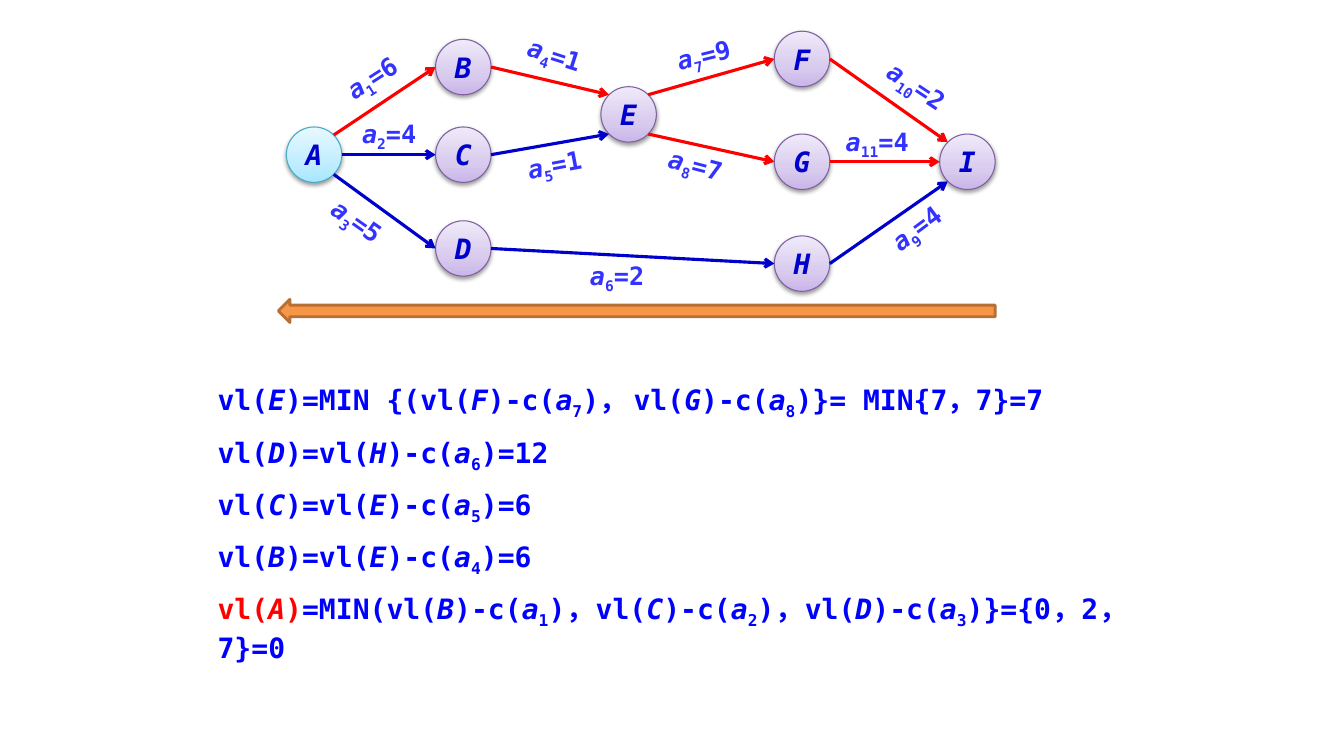
from pptx import Presentation
from pptx.dml.color import RGBColor
from pptx.enum.shapes import MSO_CONNECTOR as CXN, MSO_SHAPE as SHAPE
from pptx.enum.text import MSO_ANCHOR as ANCHOR, PP_ALIGN as ALIGN
from pptx.oxml import parse_xml
from pptx.oxml.ns import nsdecls
from pptx.util import Inches, Pt

RED, BLUE = "FF0000", "0000CC"
NODE = 5.5
LILAC = ("C9B5E8", "D8CBEE", "F0EAF9")
SKY = ("A7E6FF", "C1EDFF", "E7F8FF")
HUBS = "AEI"

NODES = {
    "A": (31.15, 15.35), "B": (45.95, 6.65), "C": (45.95, 15.35),
    "D": (45.95, 24.65), "E": (62.35, 11.35), "F": (79.55, 5.85),
    "G": (79.55, 16.05), "H": (79.55, 26.15), "I": (95.95, 16.05),
}

ACTIVITIES = [
    ("AB", 6, RED, (36.9, 7.75), -32.7),
    ("AC", 4, BLUE, (38.6, 13.25), 0),
    ("AD", 5, BLUE, (35.4, 21.95), 35.2),
    ("BE", 1, RED, (55, 5.45), 17.8),
    ("CE", 1, BLUE, (55, 16.35), -10.8),
    ("DH", 2, BLUE, (61.2, 27.35), 0),
    ("EF", 9, RED, (69.8, 5.45), -14),
    ("EG", 7, RED, (69, 16.35), 14.7),
    ("HI", 4, BLUE, (90.9, 22.65), -36.6),
    ("FI", 2, RED, (90.9, 8.55), 33.4),
    ("GI", 4, RED, (87, 14.05), 0),
]

FORMULAS = [
    "vl(|/E|)=MIN {(vl(|/F|)-c(|/a|_7|)， vl(|/G|)-c(|/a|_8|)}= MIN{7，7}=7",
    "vl(|/D|)=vl(|/H|)-c(|/a|_6|)=12",
    "vl(|/C|)=vl(|/E|)-c(|/a|_5|)=6",
    "vl(|/B|)=vl(|/E|)-c(|/a|_4|)=6",
    "!vl(|!/A|!)|=MIN(vl(|/B|)-c(|/a|_1|)，vl(|/C|)-c(|/a|_2|)，"
    "vl(|/D|)-c(|/a|_3|)}={0，2，7}=0",
]


def rgb(color):
    return RGBColor.from_string(color)


class Sketch:
    font = "DejaVu Sans Mono"
    cell = Inches(0.1)

    def __init__(self, slide):
        self.slide = slide

    def cells(self, *values):
        return [round(v * self.cell) for v in values]

    def fill_text(self, p, markup, size, color, align):
        for part in markup.split("|"):
            text = part.lstrip("!/_")
            marks = part[:len(part) - len(text)]
            r = p.add_run()
            r.text = text
            if "!" in marks:
                r.font.color.rgb = rgb(RED)
            if "/" in marks:
                r.font.italic = True
            if "_" in marks:
                r._r.get_or_add_rPr().set("baseline", "-25000")
        p.alignment = align
        p.font.name, p.font.size, p.font.bold = self.font, Pt(size), True
        p.font.color.rgb = rgb(color)

    def shape(self, kind, x, y, w, h, line, width):
        sp = self.slide.shapes.add_shape(kind, *self.cells(x, y, w, h))
        sp.shadow.inherit = False
        sp.line.color.rgb, sp.line.width = rgb(line), Pt(width)
        return sp

    def node(self, name, center, stops, line):
        x, y = (v - NODE / 2 for v in center)
        sp = self.shape(SHAPE.OVAL, x, y, NODE, NODE, line, 0.75)
        colors = "".join(
            f'<a:gs pos="{pos}"><a:srgbClr val="{c}"/></a:gs>'
            for pos, c in zip((0, 35000, 100000), stops))
        sp._element.spPr.insert(2, parse_xml(
            f'<a:gradFill {nsdecls("a")} rotWithShape="1"><a:gsLst>{colors}'
            '</a:gsLst><a:lin ang="16200000" scaled="0"/></a:gradFill>'))
        sp._element.spPr[-1].append(parse_xml(
            f'<a:outerShdw {nsdecls("a")} blurRad="{Pt(3.1)}" '
            f'dist="{Pt(1.6)}" dir="5400000" rotWithShape="0">'
            '<a:srgbClr val="000000"><a:alpha val="38000"/></a:srgbClr>'
            '</a:outerShdw>'))
        tf = sp.text_frame
        tf.margin_left = tf.margin_right = 0
        tf.vertical_anchor = ANCHOR.MIDDLE
        self.fill_text(tf.paragraphs[0], "/" + name, 20, BLUE, ALIGN.CENTER)

    def arrow(self, start, end, color):
        rise = NODES[end][1] - NODES[start][1]
        slope = (rise > 0) - (rise < 0)

        def port(name, side):
            x, y = NODES[name]
            if name in HUBS and slope:
                reach = NODE / 2 * 0.71
                return x + side * reach, y + side * slope * reach
            return x + side * NODE / 2, y

        ends = self.cells(*port(start, 1), *port(end, -1))
        line = self.slide.shapes.add_connector(CXN.STRAIGHT, *ends)
        line.line.color.rgb, line.line.width = rgb(color), Pt(2.25)
        line.line._get_or_add_ln().append(
            parse_xml(f'<a:tailEnd {nsdecls("a")} type="arrow"/>'))
        line._element.spPr.append(
            parse_xml(f'<a:effectLst {nsdecls("a")}/>'))

    def label(self, markup, center, angle):
        w, h = 9.4, 3.1
        x, y = center
        box = self.slide.shapes.add_textbox(
            *self.cells(x - w / 2, y - h / 2, w, h))
        box.rotation = angle
        tf = box.text_frame
        tf.word_wrap = True
        tf.margin_left = tf.margin_right = tf.margin_top = tf.margin_bottom = 0
        self.fill_text(tf.paragraphs[0], markup, 18, "3333FF", ALIGN.CENTER)

    def formulas(self, lines, x, y, w, h):
        box = self.slide.shapes.add_textbox(*self.cells(x, y, w, h))
        tf = box.text_frame
        tf.word_wrap = True
        for i, markup in enumerate(lines):
            p = tf.add_paragraph() if i else tf.paragraphs[0]
            self.fill_text(p, markup, 20, "0000FF", ALIGN.JUSTIFY)
            if i:
                p.space_before = Pt(10)

    def back_arrow(self, x, y, w, h):
        sp = self.shape(SHAPE.LEFT_ARROW, x, y, w, h, "B76F34", 2)
        sp.fill.solid()
        sp.fill.fore_color.rgb = rgb("F79646")


def main():
    prs = Presentation()
    prs.slide_width, prs.slide_height = Inches(13.33), Inches(7.5)
    s = Sketch(prs.slides.add_slide(prs.slide_layouts[6]))
    s.formulas(FORMULAS, 20.6, 37.5, 92.2, 24.6)
    for name, center in NODES.items():
        look = (SKY, "46AAC5") if name == "A" else (LILAC, "7D60A0")
        s.node(name, center, *look)
    for i, (ends, cost, color, center, angle) in enumerate(ACTIVITIES, 1):
        s.arrow(*ends, color)
        s.label(f"/a|_{i}|={cost}", center, angle)
    s.back_arrow(27.6, 29.7, 71.1, 2.3)
    prs.save("out.pptx")


if __name__ == "__main__":
    main()
